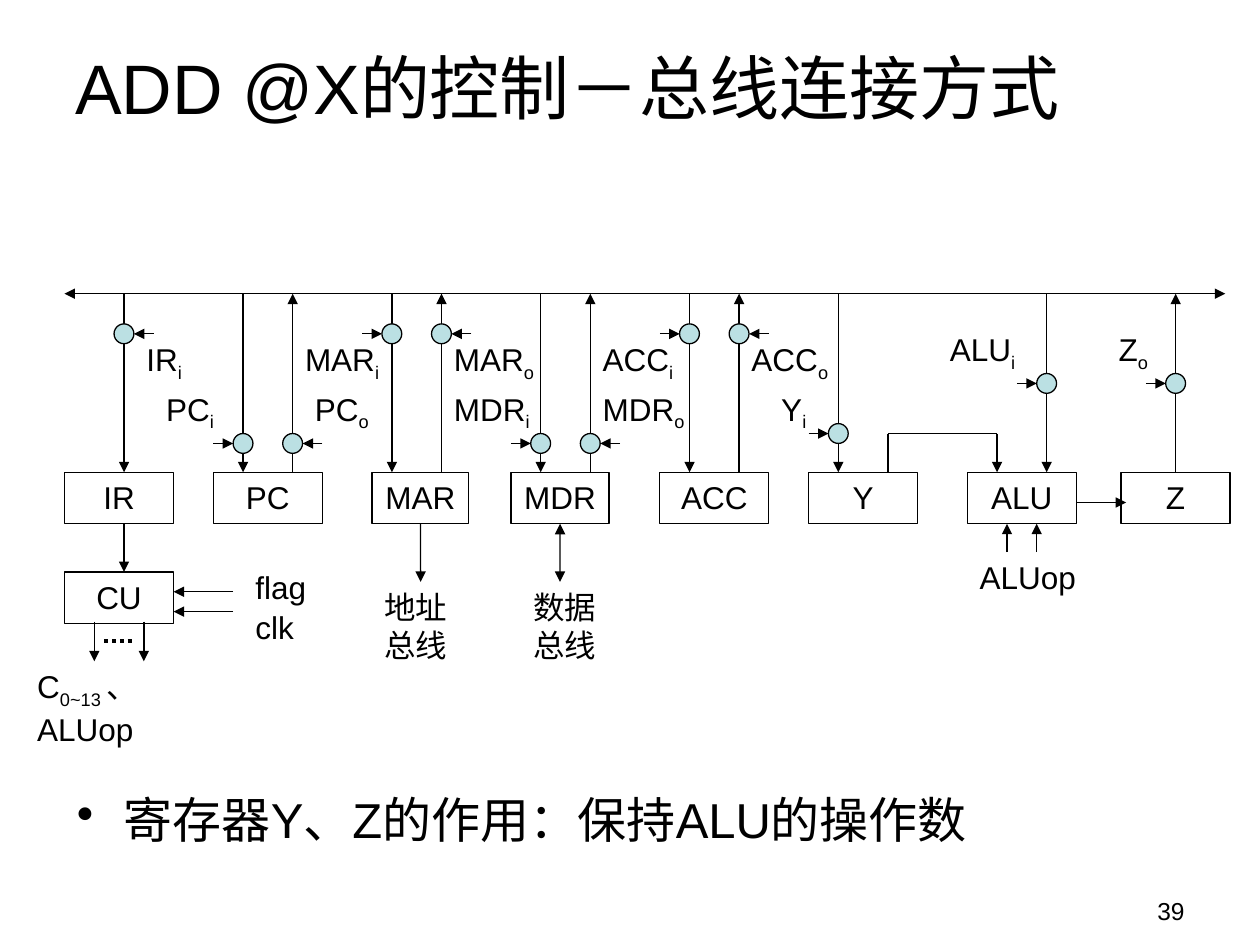
"""Build the slide on bus-based control of the ADD @X instruction."""
from lxml import etree
from pptx import Presentation
from pptx.dml.color import RGBColor
from pptx.enum.dml import MSO_LINE
from pptx.enum.shapes import MSO_CONNECTOR, MSO_SHAPE
from pptx.enum.text import MSO_ANCHOR, PP_ALIGN
from pptx.oxml.ns import qn
from pptx.util import Cm, Pt

BLACK = RGBColor(0x00, 0x00, 0x00)
GATE_FILL = RGBColor(0xBB, 0xE0, 0xE3)
FONT = "Arial"
STRAIGHT = MSO_CONNECTOR.STRAIGHT
RECTANGLE = MSO_SHAPE.RECTANGLE
GATE = MSO_SHAPE.FLOWCHART_CONNECTOR
ROUND_DOT = MSO_LINE.ROUND_DOT
TOP, MIDDLE = MSO_ANCHOR.TOP, MSO_ANCHOR.MIDDLE
LEFT, CENTER, RIGHT = PP_ALIGN.LEFT, PP_ALIGN.CENTER, PP_ALIGN.RIGHT

BUS_Y = 5.92
REGISTER_Y = 9.52
BOX_WIDTH, BOX_HEIGHT = 2.2, 1.04
REGISTER_BOTTOM = REGISTER_Y + BOX_HEIGHT
CU_Y = 11.53
GATE_RADIUS = 0.2
STUB = 0.4
HIGH, MID, LOW, Y_ROW = 6.73, 7.73, 8.94, 8.74
LABEL_HIGH, LABEL_LOW, LABEL_ALU = 6.73, 7.73, 6.53

REGISTERS = [
    ("IR", 1.3, BOX_WIDTH), ("PC", 4.3, BOX_WIDTH), ("MAR", 7.5, 1.95),
    ("MDR", 10.3, 1.98), ("ACC", 13.3, BOX_WIDTH), ("Y", 16.3, BOX_WIDTH),
    ("ALU", 19.5, BOX_WIDTH), ("Z", 22.6, BOX_WIDTH),
]

GATES = [
    ("IR", "i", 2.5, HIGH, 1, 2.7, LABEL_HIGH, 1.24),
    ("PC", "i", 4.9, LOW, -1, 3.1, LABEL_LOW, 1.5),
    ("PC", "o", 5.9, LOW, 1, 6.1, LABEL_LOW, 1.63),
    ("MAR", "i", 7.9, HIGH, -1, 5.9, LABEL_HIGH, 2.01),
    ("MAR", "o", 8.9, HIGH, 1, 8.9, LABEL_HIGH, 2.16),
    ("MDR", "i", 10.9, LOW, -1, 8.9, LABEL_LOW, 2.06),
    ("MDR", "o", 11.9, LOW, 1, 11.9, LABEL_LOW, 2.18),
    ("ACC", "i", 13.9, HIGH, -1, 11.9, LABEL_HIGH, 1.96),
    ("ACC", "o", 14.9, HIGH, 1, 14.9, LABEL_HIGH, 2.08),
    ("Y", "i", 16.9, Y_ROW, -1, 15.5, LABEL_LOW, 1.02),
    ("ALU", "i", 21.1, MID, -1, 18.9, LABEL_ALU, 1.83),
    ("Z", "o", 23.7, MID, -1, 22.3, LABEL_ALU, 1.14),
]


def style_paragraph(paragraph, size, align=LEFT):
    """Apply the common font and an alignment."""
    paragraph.alignment = align
    paragraph.font.name = FONT
    paragraph.font.size = Pt(size)
    paragraph.font.color.rgb = BLACK


def add_bullet(paragraph):
    """Give a paragraph a hanging bullet and tight line spacing."""
    paragraph.line_spacing = 0.9
    properties = paragraph._p.get_or_add_pPr()
    properties.set("marL", str(Cm(0.95)))
    properties.set("indent", str(Cm(-0.95)))
    etree.SubElement(properties, qn("a:buChar"), char="•")


def add_text(slide, lines, left, top, width, height=1.02, size=18,
             align=LEFT, anchor=TOP, wrap=False, bullet=False):
    """Add a text box; each line is a string or a list of (text, is_subscript)."""
    frame = slide.shapes.add_textbox(
        Cm(left), Cm(top), Cm(width), Cm(height)).text_frame
    frame.word_wrap = wrap
    frame.vertical_anchor = anchor
    for index, line in enumerate(lines):
        paragraph = frame.add_paragraph() if index else frame.paragraphs[0]
        parts = [(line, False)] if isinstance(line, str) else line
        for text, is_subscript in parts:
            run = paragraph.add_run()
            run.text = text
            if is_subscript:
                run.font._element.set("baseline", "-25000")
        if bullet:
            add_bullet(paragraph)
        style_paragraph(paragraph, size, align)


def add_box(slide, name, left, top, width=BOX_WIDTH):
    """Add an outlined unit with its name."""
    box = slide.shapes.add_shape(
        RECTANGLE, Cm(left), Cm(top), Cm(width), Cm(BOX_HEIGHT))
    box.shadow.inherit = False
    box.fill.background()
    box.line.color.rgb = BLACK
    box.line.width = Pt(0.75)
    frame = box.text_frame
    frame.word_wrap = width == BOX_WIDTH
    frame.vertical_anchor = TOP
    frame.text = name
    style_paragraph(frame.paragraphs[0], 18, CENTER)
    return box


def add_line(slide, x1, y1, x2, y2, head=False, tail=True, width=0.75):
    """Add a straight line with optional arrowheads at its start and end."""
    line = slide.shapes.add_connector(STRAIGHT, Cm(x1), Cm(y1), Cm(x2), Cm(y2))
    line.line.color.rgb = BLACK
    line.line.width = Pt(width)
    outline = line.line._get_or_add_ln()
    for wanted, tag in ((head, "a:headEnd"), (tail, "a:tailEnd")):
        if wanted:
            etree.SubElement(outline, qn(tag), type="triangle")
    etree.SubElement(line._element.spPr, qn("a:effectLst"))
    return line


def add_gate(slide, register, direction, x, y, side, label_left, label_top,
             label_width):
    """Add a bus line with its gate, control arrow and label; return the line."""
    is_input = direction == "i"
    bus_line = add_line(slide, x, REGISTER_Y, x, BUS_Y,
                        head=is_input, tail=not is_input)
    gate = slide.shapes.add_shape(
        GATE, Cm(x - GATE_RADIUS), Cm(y - GATE_RADIUS),
        Cm(2 * GATE_RADIUS), Cm(2 * GATE_RADIUS))
    gate.shadow.inherit = False
    gate.fill.solid()
    gate.fill.fore_color.rgb = GATE_FILL
    gate.line.color.rgb = BLACK
    gate.line.width = Pt(0.75)
    add_line(slide, x + side * (GATE_RADIUS + STUB), y,
             x + side * GATE_RADIUS, y)
    add_text(slide, [[(register, False), (direction, True)]],
             label_left, label_top, label_width)
    return bus_line


def add_datapath(slide):
    """Draw the bus, the registers and their gated bus lines."""
    add_line(slide, 1.3, BUS_Y, 24.7, BUS_Y, head=True)
    boxes = {name: add_box(slide, name, left, REGISTER_Y, width)
             for name, left, width in REGISTERS}
    bus_lines = [add_gate(slide, *gate) for gate in GATES]
    bus_lines[-1].begin_connect(boxes["Z"], 0)

    add_line(slide, 17.9, Y_ROW, 17.9, REGISTER_Y, tail=False)
    add_line(slide, 17.9, Y_ROW, 20.1, Y_ROW, tail=False)
    add_line(slide, 20.1, Y_ROW, 20.1, REGISTER_Y)
    add_line(slide, 21.7, 10.13, 22.7, 10.13)
    for x in (20.3, 20.9):
        add_line(slide, x, 11.13, x, REGISTER_BOTTOM)
    add_text(slide, ["ALUop"], 19.5, 11.13, 2.5)

    for register, kind, x, label_left in (("MAR", "地址", 8.48, 7.5),
                                          ("MDR", "数据", 11.29, 10.5)):
        external = add_line(slide, x, REGISTER_BOTTOM, x, 11.73,
                            head=register == "MDR")
        external.begin_connect(boxes[register], 2)
        add_text(slide, [kind, "总线"], label_left, 11.73, 1.78, 1.78)


def add_control_unit(slide):
    """Draw the control unit with its inputs and outputs."""
    add_box(slide, "CU", 1.3, CU_Y)
    add_line(slide, 2.5, REGISTER_BOTTOM, 2.5, CU_Y)
    for signal, y, label_top in (("flag", 11.93, 11.33), ("clk", 12.33, 12.13)):
        add_line(slide, 4.7, y, 3.5, y)
        add_text(slide, [signal], 4.9, label_top, 1.8, wrap=True)
    for x in (1.9, 2.9):
        add_line(slide, x, 12.53, x, 13.33)
    dots = add_line(slide, 2.1, 12.93, 2.7, 12.93, tail=False, width=2.25)
    dots.line.dash_style = ROUND_DOT
    add_text(slide, [[("C", False), ("0~13 ", True), ("、 ALUop", False)]],
             0.5, 13.33, 4.4, wrap=True)


def main():
    """Assemble and save the slide."""
    presentation = Presentation()
    presentation.slide_width, presentation.slide_height = Cm(25.4), Cm(19.05)
    slide = presentation.slides.add_slide(presentation.slide_layouts[6])
    add_text(slide, ["ADD @X的控制－总线连接方式"], 1.27, 0.76, 22.86, 1.96, 40,
             anchor=MIDDLE, wrap=True)
    add_datapath(slide)
    add_control_unit(slide)
    add_text(slide, ["寄存器Y、Z的作用：保持ALU的操作数"], 1.3, 15.93, 22.86, 1.4, 28,
             wrap=True, bullet=True)
    add_text(slide, ["39"], 18.2, 17.93, 5.93, 0.74, 14, RIGHT, wrap=True)
    presentation.save("out.pptx")


if __name__ == "__main__":
    main()
